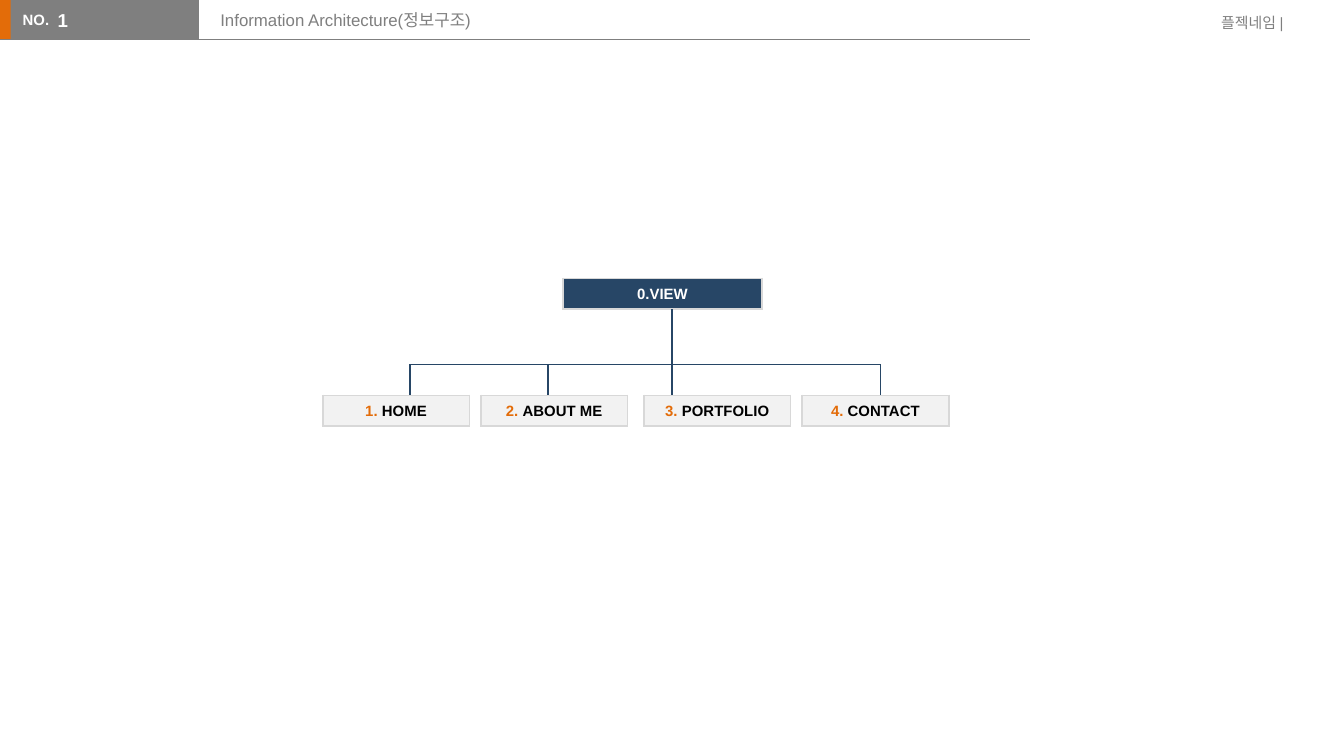
from pptx import Presentation
from pptx.dml.color import RGBColor
from pptx.enum.shapes import MSO_CONNECTOR, MSO_SHAPE
from pptx.enum.text import MSO_ANCHOR, MSO_AUTO_SIZE, PP_ALIGN
from pptx.oxml.ns import qn
from pptx.util import Cm, Pt
from lxml import etree

RECT = MSO_SHAPE.RECTANGLE
STRAIGHT = MSO_CONNECTOR.STRAIGHT
TOP = MSO_ANCHOR.TOP
FIXED = MSO_AUTO_SIZE.NONE
LEFT, CENTER, RIGHT = PP_ALIGN.LEFT, PP_ALIGN.CENTER, PP_ALIGN.RIGHT

ORANGE, GRAY, WHITE, BLACK = "E36C09", "7F7F7F", "FFFFFF", "000000"
NAVY, PALE, EDGE = "274666", "F2F2F2", "D8D8D8"


def rgb(code):
    return RGBColor.from_string(code)


class Board:
    """Draws styled elements on the current slide."""

    font = "Arial"
    small = 8
    thin = 0.75

    def __init__(self, slide):
        self.slide = slide
        self.shapes = slide.shapes

    def style(self, run, color, size, bold):
        font = run.font
        font.name, font.size, font.bold = self.font, Pt(size), bold
        font.color.rgb = rgb(color)

    def put(self, frame, text, color, size=small, bold=False, align=LEFT):
        frame.word_wrap = True
        frame.auto_size = FIXED
        frame.vertical_anchor = TOP
        frame.text = text
        para = frame.paragraphs[0]
        para.alignment = align
        para.space_before = Pt(0)
        self.style(para.runs[0], color, size, bold)
        return para

    def bar(self, x, y, w, h, color):
        shape = self.shapes.add_shape(RECT, Cm(x), Cm(y), Cm(w), Cm(h))
        shape.shadow.inherit = False
        shape.fill.solid()
        shape.fill.fore_color.rgb = rgb(color)
        shape.line.fill.background()

    def label(self, x, y, w, h, text, color, **look):
        box = self.shapes.add_textbox(Cm(x), Cm(y), Cm(w), Cm(h))
        self.put(box.text_frame, text, color, **look)

    def holder(self, index, x, y, w, h, text, color, **look):
        shape = self.slide.placeholders[index]
        shape.left, shape.top, shape.width, shape.height = map(Cm, (x, y, w, h))
        shape.element.getparent().append(shape.element)
        para = self.put(shape.text_frame, text, color, **look)
        return shape.text_frame, para

    def title(self, *args, **look):
        self.holder(0, *args, **look)

    def number(self, *args, **look):
        frame, para = self.holder(1, *args, **look)
        frame.margin_left = frame.margin_right = 0
        props = para._p.get_or_add_pPr()
        props.set("marL", str(Cm(0.95)))
        props.set("indent", str(-Cm(0.95)))
        etree.SubElement(props, qn("a:buNone"))

    def line(self, x1, y1, x2, y2, color):
        link = self.shapes.add_connector(STRAIGHT, Cm(x1), Cm(y1), Cm(x2), Cm(y2))
        link.line.color.rgb = rgb(color)
        link.line.width = Pt(self.thin)
        etree.SubElement(link.element.spPr, qn("a:effectLst"))

    def node(self, x, y, w, h, fill, *parts):
        table = self.shapes.add_table(1, 1, Cm(x), Cm(y), Cm(w), Cm(h)).table
        table.first_row = table.horz_banding = False
        cell = table.cell(0, 0)
        cell.margin_top = cell.margin_bottom = Cm(0.13)
        self.border(cell)
        cell.fill.solid()
        cell.fill.fore_color.rgb = rgb(fill)
        para = cell.text_frame.paragraphs[0]
        para.alignment = CENTER
        for text, color in parts:
            run = para.add_run()
            run.text = text
            self.style(run, color, self.small, True)

    def border(self, cell):
        props = cell._tc.get_or_add_tcPr()
        for side in ("a:lnL", "a:lnR", "a:lnT", "a:lnB"):
            edge = etree.SubElement(props, qn(side), w=str(Pt(1)))
            fill = etree.SubElement(edge, qn("a:solidFill"))
            etree.SubElement(fill, qn("a:srgbClr"), val=EDGE)


def main():
    deck = Presentation()
    deck.slide_width, deck.slide_height = Cm(25.4), Cm(14.28)
    board = Board(deck.slides.add_slide(deck.slide_layouts[1]))

    board.bar(-0.03, 0, 0.3, 0.74, ORANGE)
    board.bar(0.2, 0, 3.56, 0.74, GRAY)
    board.label(0.18, 0.08, 1.04, 0.61, "NO.", WHITE, bold=True)
    board.line(0, 0.75, 19.46, 0.75, GRAY)
    board.label(22.68, 0.13, 1.83, 0.61, "플젝네임 |", GRAY, align=RIGHT)
    board.title(3.91, 0.05, 13.77, 0.81, "Information Architecture(정보구조)", GRAY, size=9)
    board.number(1.09, 0.03, 2.79, 0.79, "1", WHITE, size=10, bold=True)

    root, rail, row, high = 5.26, 6.88, 7.47, 0.58
    board.node(10.64, root, 3.76, high, NAVY, ("0.VIEW", WHITE))
    pages = [
        ("HOME", 6.1, 7.75, rail),
        ("ABOUT ME", 9.09, 10.36, rail),
        ("PORTFOLIO", 12.17, 12.7, root + high),
        ("CONTACT", 15.16, 16.64, rail),
    ]
    for count, (name, x, stem, top) in enumerate(pages, 1):
        board.node(x, row, 2.77, high, PALE, (f"{count}. ", ORANGE), (name, BLACK))
        board.line(stem, top, stem, row, NAVY)
    board.line(pages[0][2], rail, pages[-1][2], rail, NAVY)

    deck.save("out.pptx")


if __name__ == "__main__":
    main()
